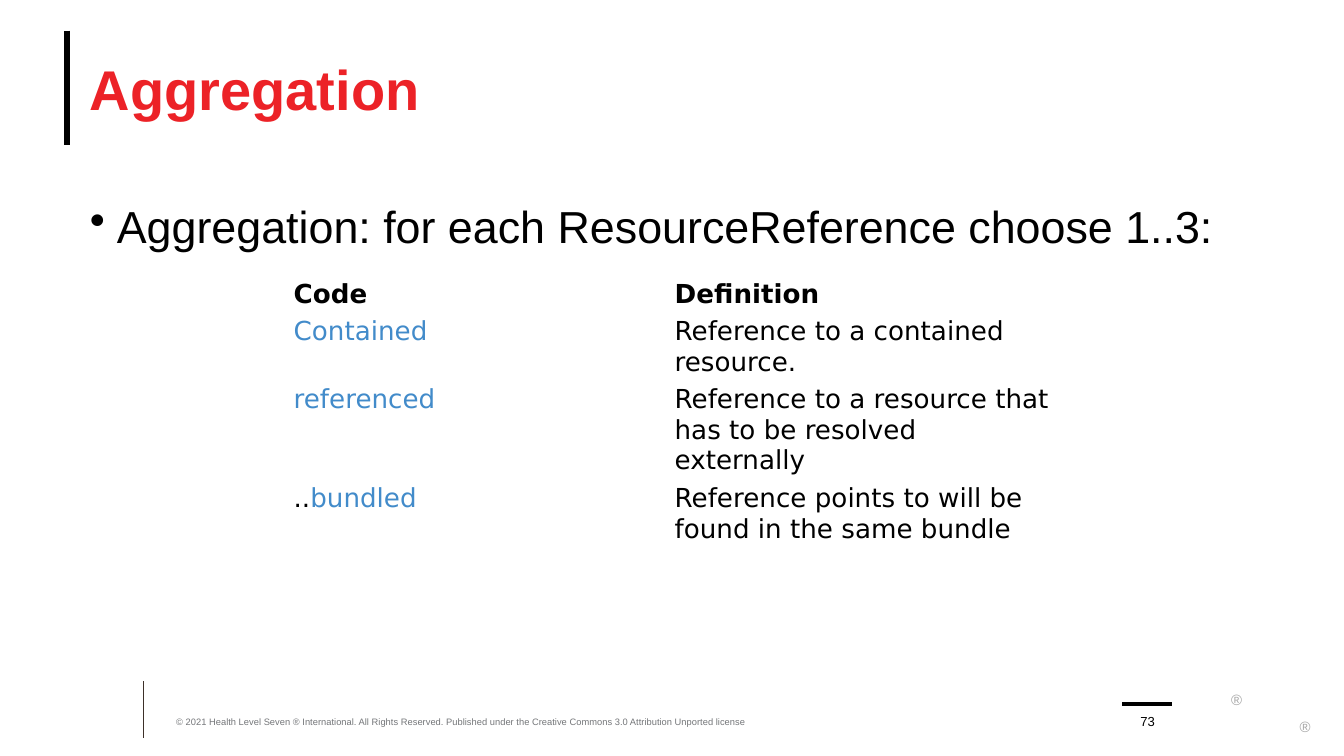
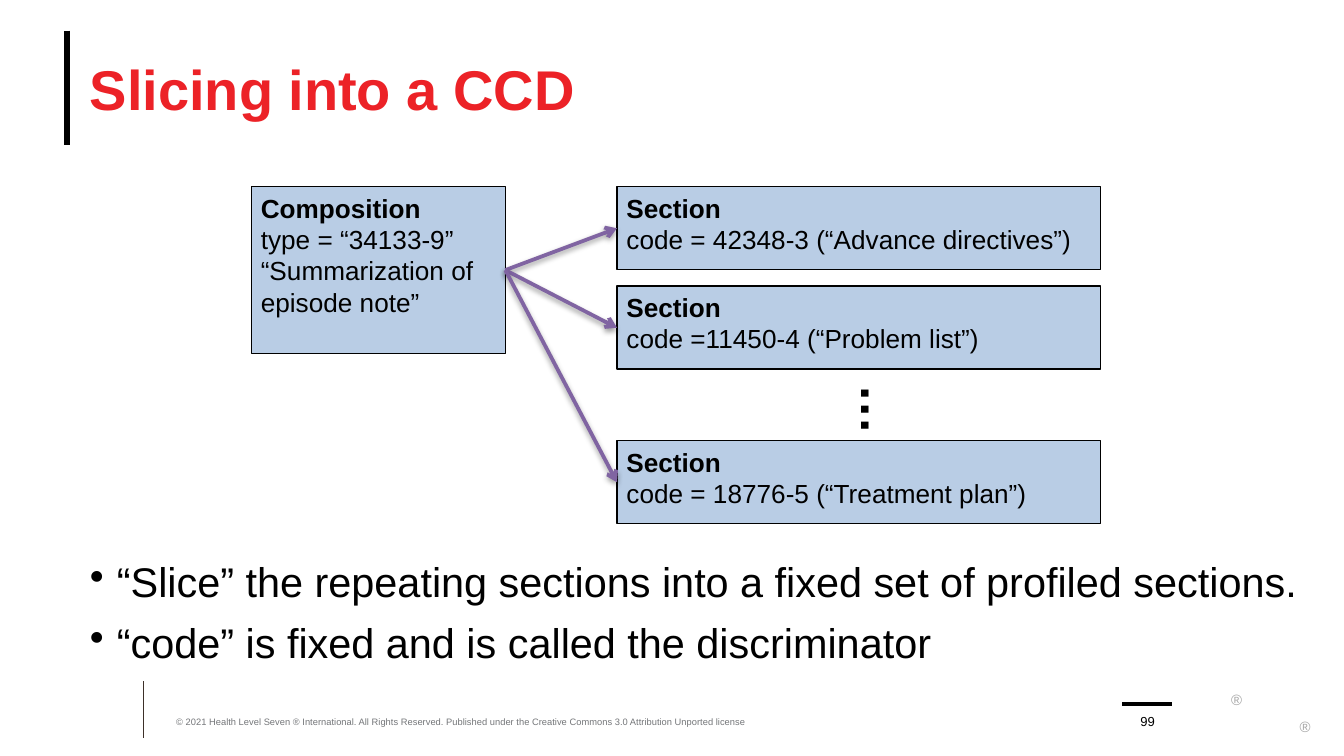
from lxml import etree
from pptx import Presentation
from pptx.dml.color import RGBColor
from pptx.enum.shapes import MSO_CONNECTOR, MSO_SHAPE
from pptx.enum.text import MSO_ANCHOR, MSO_AUTO_SIZE, PP_ALIGN
from pptx.oxml.ns import qn
from pptx.util import Cm, Pt

BLACK = RGBColor(0x00, 0x00, 0x00)
WHITE = RGBColor(0xFF, 0xFF, 0xFF)
RED = RGBColor(0xEC, 0x22, 0x27)
GREY = RGBColor(0x74, 0x76, 0x79)
PALE = RGBColor(0xA6, 0xA6, 0xA6)
BROWN = RGBColor(0x3D, 0x30, 0x29)
LINK = RGBColor(0x42, 0x8B, 0xCA)
SKY = RGBColor(0xB9, 0xCD, 0xE5)
PURPLE = RGBColor(0x80, 0x64, 0xA2)

STRAIGHT = MSO_CONNECTOR.STRAIGHT
RECT = MSO_SHAPE.RECTANGLE
TOP, MIDDLE, BOTTOM = MSO_ANCHOR.TOP, MSO_ANCHOR.MIDDLE, MSO_ANCHOR.BOTTOM
LEFT, CENTER = PP_ALIGN.LEFT, PP_ALIGN.CENTER
GROW = MSO_AUTO_SIZE.SHAPE_TO_FIT_TEXT
TITLE_ONLY = 5
FONT = "Arial"
RIGHTS = ("© 2021 Health Level Seven ® International. All Rights Reserved. "
          "Published under the Creative Commons 3.0 Attribution Unported license")


def style(para, size, color=BLACK, bold=False, name=FONT):
    for run in para.runs:
        font = run.font
        font.size, font.name, font.bold = Pt(size), name, bold
        font.color.rgb = color


def inset(frame, side=0, end=0):
    frame.margin_left = frame.margin_right = Cm(side)
    frame.margin_top = frame.margin_bottom = Cm(end)


def label(slide, box, text, size, color=BLACK, anchor=TOP, align=LEFT):
    frame = slide.shapes.add_textbox(*map(Cm, box)).text_frame
    frame.word_wrap = True
    frame.vertical_anchor = anchor
    inset(frame)
    frame.text = text
    for para in frame.paragraphs:
        para.alignment = align
        style(para, size, color)
    return frame


def link(slide, ends, width, color):
    line = slide.shapes.add_connector(STRAIGHT, *map(Cm, ends))
    line.line.width = Pt(width)
    line.line.color.rgb = color
    effect = etree.SubElement(line._element.spPr, qn("a:effectLst"))
    return line, effect


def frame_page(deck, title, number):
    slide = deck.slides.add_slide(deck.slide_layouts[TITLE_ONLY])
    link(slide, (1.27, 0.58, 1.27, 2.74), 3.25, BLACK)
    link(slide, (2.72, 12.88, 2.72, 13.95), 0.5, BROWN)
    link(slide, (21.21, 13.31, 22.15, 13.31), 2, BLACK)
    for x, y in ((23.27, 12.95), (24.56, 13.46)):
        mark = label(slide, (x, y, 0.28, 0.23), "®", 8, PALE)
        mark.word_wrap = False
        mark.margin_top = Cm(0.1)
    head = slide.shapes.title
    head.left, head.top, head.width, head.height = map(Cm, (1.7, 0.58, 22.86, 2.18))
    frame = head.text_frame
    inset(frame)
    frame.vertical_anchor = MIDDLE
    frame.text = title
    frame.paragraphs[0].alignment = LEFT
    style(frame.paragraphs[0], 30, RED, True)
    label(slide, (3.33, 13.31, 12.57, 0.43), RIGHTS, 5, GREY, BOTTOM)
    label(slide, (21.31, 13.31, 0.76, 0.48), str(number), 7, BLACK, BOTTOM, CENTER)
    return slide


def bullets(slide, top, height, lines, size):
    frame = label(slide, (1.7, top, 22.9, height), "\n".join(lines), size)
    for i, para in enumerate(frame.paragraphs):
        props = para._p.get_or_add_pPr()
        props.set("marL", str(Cm(0.51)))
        props.set("indent", str(Cm(-0.51)))
        etree.SubElement(props, qn("a:buChar")).set("char", "•")
        if i:
            para.space_before = Pt(6)


def grid(slide, rows):
    table = slide.shapes.add_table(
        len(rows), 2, Cm(5.5), Cm(5.23), Cm(14.4), Cm(4.5)).table
    table.first_row = table.horz_banding = False
    for r, row in enumerate(rows):
        table.rows[r].height = Cm(1.27 if r else 0.69)
        for c, text in enumerate(row):
            cell = table.cell(r, c)
            cell.fill.solid()
            cell.fill.fore_color.rgb = WHITE
            inset(cell, 0.05, 0.05)
            para = cell.text_frame.paragraphs[0]
            dots = ".." if text.startswith("..") else ""
            for part in filter(None, (dots, text[len(dots):])):
                para.add_run().text = part
            style(para, 14, BLACK, r == 0, "DejaVu Sans")
            if r and c == 0:
                para.runs[-1].font.color.rgb = LINK


def block(slide, box, lines):
    shape = slide.shapes.add_shape(RECT, *map(Cm, box))
    shape.shadow.inherit = False
    shape.fill.solid()
    shape.fill.fore_color.rgb = SKY
    shape.line.color.rgb = BLACK
    shape.line.width = Pt(0.75)
    frame = shape.text_frame
    frame.word_wrap = True
    frame.vertical_anchor = TOP
    inset(frame, 0.18, 0.1)
    frame.text = "\n".join(lines)
    for i, para in enumerate(frame.paragraphs):
        para.alignment = LEFT
        style(para, 14, BLACK, i == 0)
    return shape


def arrow(slide, source, target):
    line, effect = link(slide, (0, 0, 1, 1), 2, PURPLE)
    line.begin_connect(source, 3)
    line.end_connect(target, 1)
    tip = etree.SubElement(line.line._get_or_add_ln(), qn("a:tailEnd"))
    tip.set("type", "arrow")
    shade = etree.SubElement(effect, qn("a:outerShdw"), blurRad=str(Pt(3.1)),
                             dist=str(Pt(1.6)), dir="5400000", rotWithShape="0")
    tone = etree.SubElement(shade, qn("a:srgbClr"), val=str(BLACK))
    etree.SubElement(tone, qn("a:alpha"), val="38000")


def dots(slide):
    frame = label(slide, (15.8, 7.14, 1.68, 1.22), "…", 27)
    frame.paragraphs[0].runs[0].font.bold = True
    inset(frame, 0.25, 0.13)
    frame.word_wrap = False
    frame.auto_size = GROW
    frame._txBody.bodyPr.set("vert", "eaVert")


def main():
    deck = Presentation()
    deck.slide_width, deck.slide_height = Cm(25.4), Cm(14.29)

    slide = frame_page(deck, "Aggregation", 73)
    bullets(slide, 3.76, 8.61,
            ["Aggregation: for each ResourceReference choose 1..3:"], 24)
    grid(slide, [
        ("Code", "Definition"),
        ("Contained", "Reference to a contained resource."),
        ("referenced", "Reference to a resource that has to be resolved externally"),
        ("..bundled", "Reference points to will be found in the same bundle"),
    ])

    slide = frame_page(deck, "Slicing into a CCD", 99)
    bullets(slide, 10.52, 1.85, [
        "“Slice” the repeating sections into a fixed set of profiled sections.",
        "“code” is fixed and is called the discriminator",
    ], 22.2)
    root = block(slide, (4.75, 3.53, 4.8, 3.15), [
        "Composition", "type = “34133-9” “Summarization of", "episode note”"])
    for top, code in (
        (3.53, "code = 42348-3 (“Advance directives”)"),
        (5.41, "code =11450-4 (“Problem list”)"),
        (8.33, "code = 18776-5 (“Treatment plan”)"),
    ):
        part = block(slide, (11.66, top, 9.14, 1.57), ["Section", code])
        arrow(slide, root, part)
    dots(slide)

    deck.save("out.pptx")


if __name__ == "__main__":
    main()
